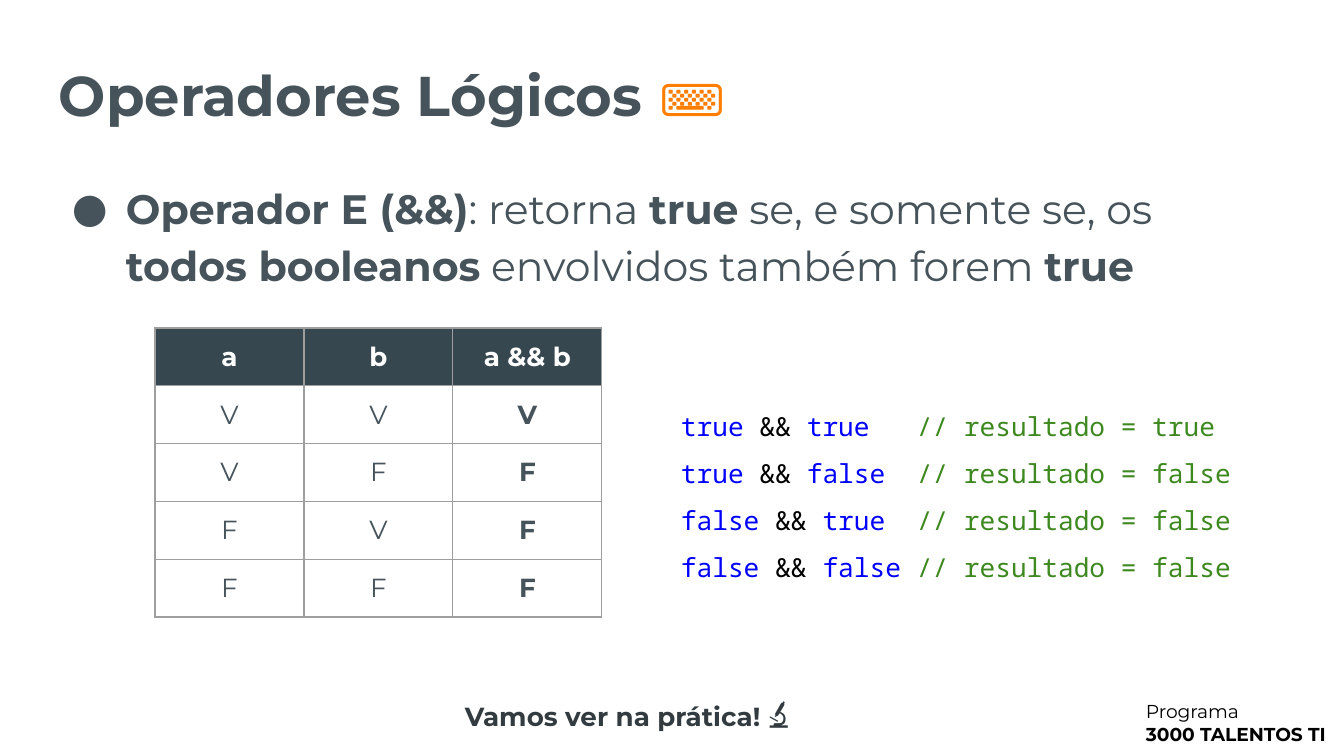
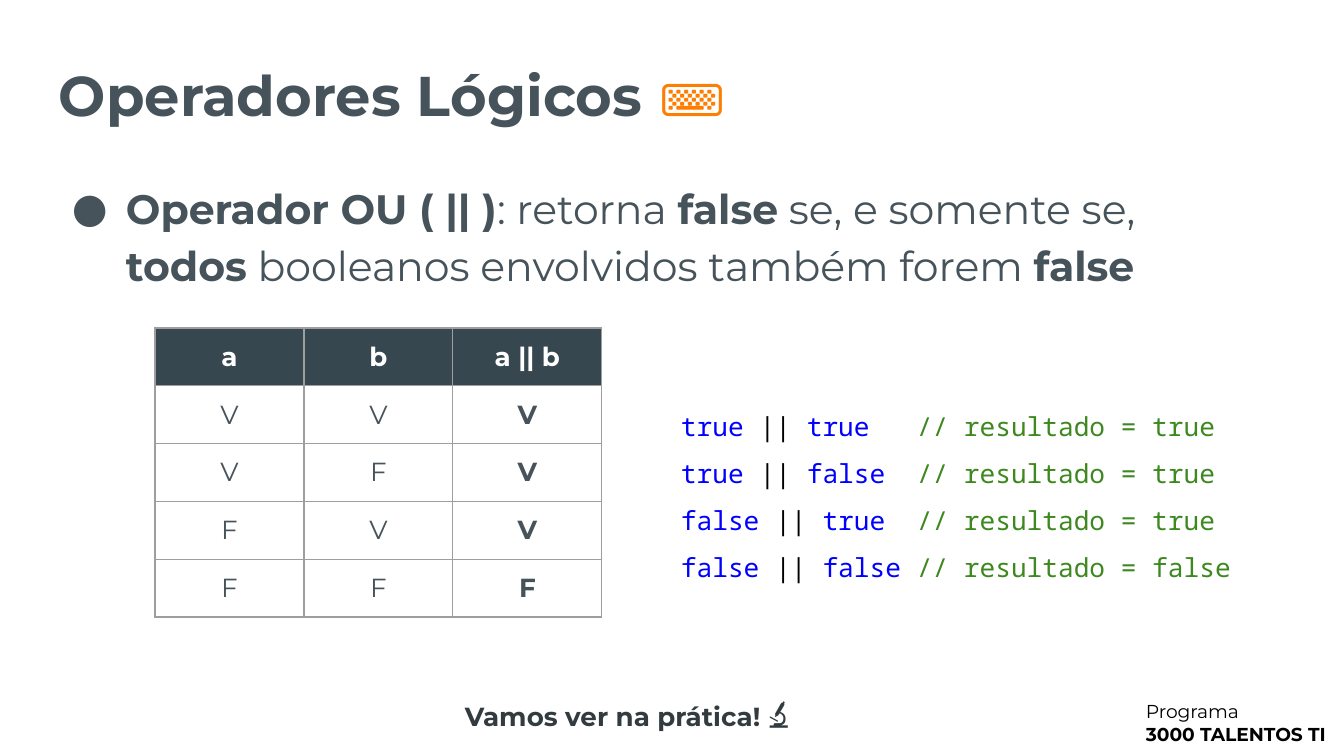
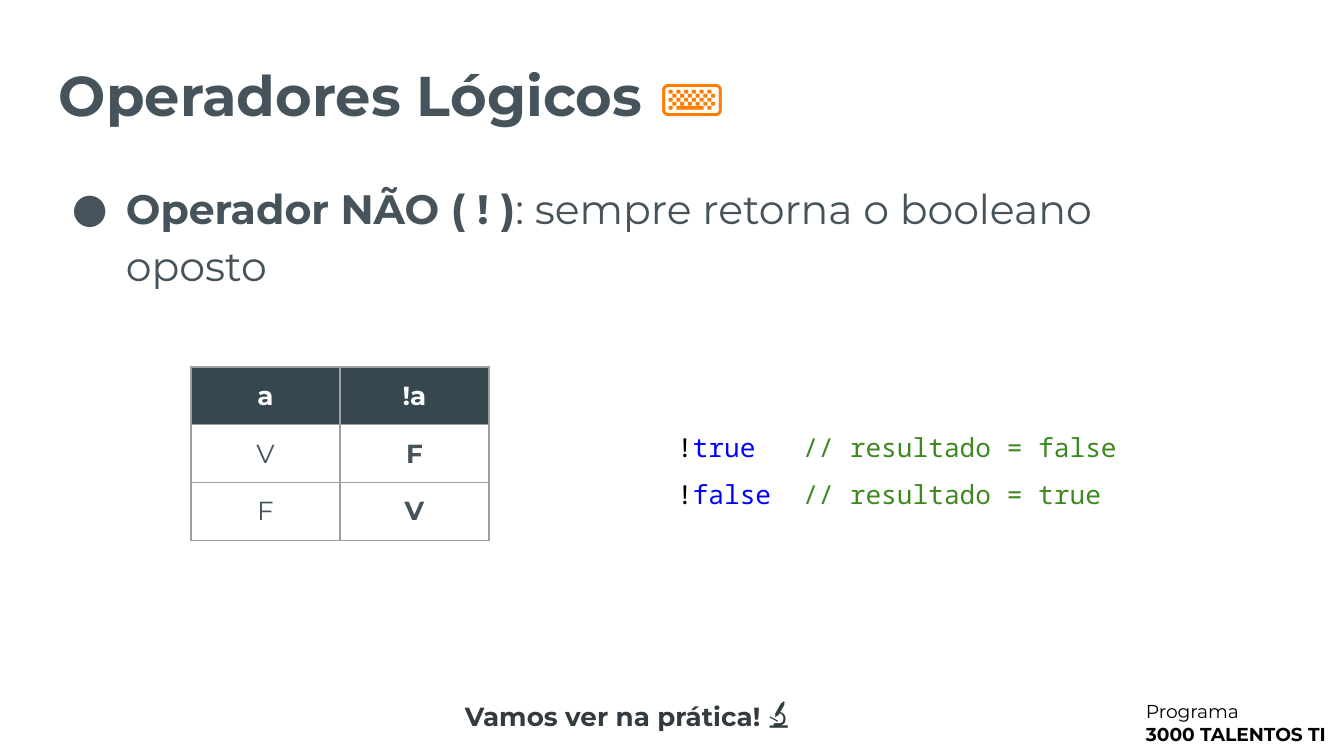
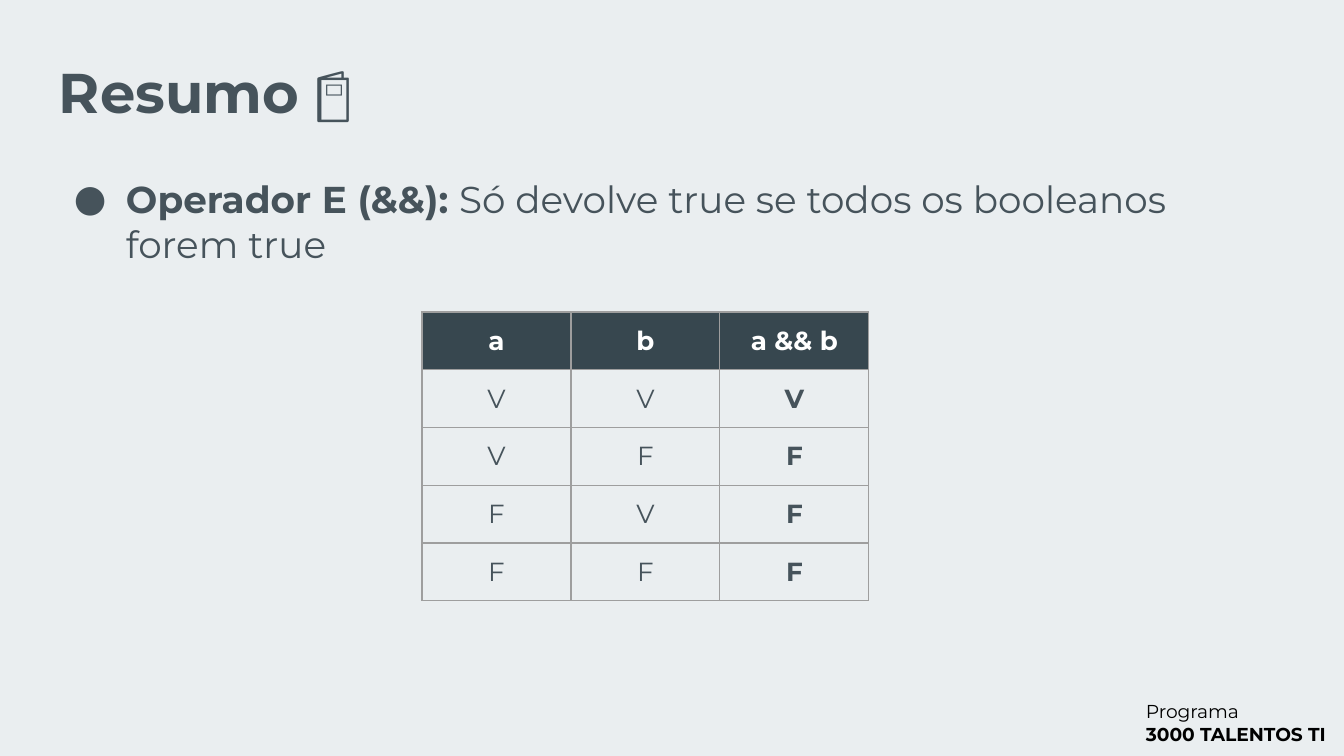
from lxml import etree
from pptx import Presentation
from pptx import util as u
from pptx.dml.color import RGBColor
from pptx.enum import text
from pptx.oxml.ns import qn

PX = 9144000 / 1344
SLATE, HEADER, GRID = "46535B", "37474F", "9E9E9E"
WHITE, BLACK, PALE = "FFFFFF", "000000", "EAEEF0"
KEYWORD, COMMENT, ORANGE, CHARCOAL = "0000FF", "3D881F", "FE7E02", "323B3F"
SANS, MONO = "Montserrat", "Noto Sans Mono"
INSET = 13
TITLE_BOX = (46, 19, 1152, 144)
BODY_BOX = (46, 163, 1152, 535)
FOOTER_BOX = (1133, 687, 234, 73)
CALL_BOX = (452, 679, 378, 65)
COL_W, ROW_H = 149, 56
LETTER = {True: "V", False: "F"}
WORD = {True: "true", False: "false"}
PAIRS = [(True, True), (True, False), (False, True), (False, False)]
KEYBOARD_TITLE = [("Operadores Lógicos ", {}),
                  ("⌨️", dict(size=34, name="Roboto", color=ORANGE, bold=False))]
AND_ROWS = [(a, b, a and b) for a, b in PAIRS]
OR_ROWS = [(a, b, a or b) for a, b in PAIRS]
NOT_ROWS = [(a, not a) for a in (True, False)]


def px(n):
    return u.Emu(round(n * PX))


def rgb(color):
    return RGBColor.from_string(color)


def add_run(p, words, size=14, color=SLATE, name=SANS, bold=False):
    r = p.add_run()
    r.text = words
    for key, value in dict(size=u.Pt(size), name=name, bold=bold).items():
        setattr(r.font, key, value)
    r.font.color.rgb = rgb(color)


def set_frame(tf, anchor=text.MSO_ANCHOR.TOP):
    margins = {f"margin_{side}": px(INSET) for side in ("left", "top", "right", "bottom")}
    for key, value in dict(margins, word_wrap=True, vertical_anchor=anchor,
                           auto_size=text.MSO_AUTO_SIZE.NONE).items():
        setattr(tf, key, value)
    return tf


def add_text(s, box, paragraphs, anchor=text.MSO_ANCHOR.TOP, spacing=1.0, **base):
    tf = set_frame(s.shapes.add_textbox(*map(px, box)).text_frame, anchor)
    for i, runs in enumerate(paragraphs):
        p = tf.add_paragraph() if i else tf.paragraphs[0]
        p.line_spacing = spacing
        for words, style in runs:
            add_run(p, words, **{**base, **style})
    return tf


def set_bullet(p, indent):
    pPr = p._p.get_or_add_pPr()
    pPr.set("marL", str(px(67)))
    pPr.set("indent", str(px(-indent)))
    clr = etree.SubElement(pPr, qn("a:buClr"))
    etree.SubElement(clr, qn("a:srgbClr"), val=SLATE)
    etree.SubElement(pPr, qn("a:buFont"), typeface=SANS)
    etree.SubElement(pPr, qn("a:buChar"), char="●")


def set_borders(cell):
    tcPr = cell._tc.get_or_add_tcPr()
    for i, side in enumerate("LRTB"):
        ln = etree.Element(qn(f"a:ln{side}"), w=str(u.Pt(0.75)))
        fill = etree.SubElement(ln, qn("a:solidFill"))
        etree.SubElement(fill, qn("a:srgbClr"), val=GRID)
        tcPr.insert(i, ln)


def add_title(s, runs):
    sp = s.shapes.title
    for key, value in zip(("left", "top", "width", "height"), TITLE_BOX):
        setattr(sp, key, px(value))
    tf = set_frame(sp.text_frame, text.MSO_ANCHOR.MIDDLE)
    p = tf.paragraphs[0]
    p.alignment, p.line_spacing = text.PP_ALIGN.LEFT, 1.0
    for words, style in runs:
        add_run(p, words, **{**dict(size=30, bold=True), **style})


def add_definition(s, parts, size, spacing, indent):
    runs = [(words, dict(bold=i % 2 == 0)) for i, words in enumerate(parts)]
    tf = add_text(s, BODY_BOX, [runs], spacing=spacing, size=size)
    set_bullet(tf.paragraphs[0], indent)


def add_truth_table(s, left, top, heads, rows):
    grid = [heads] + [[LETTER[v] for v in row] for row in rows]
    n_rows, n_cols = len(grid), len(heads)
    box = (left, top, n_cols * COL_W, n_rows * ROW_H)
    table = s.shapes.add_table(n_rows, n_cols, *map(px, box)).table
    table.first_row = table.horz_banding = False
    for i, row in enumerate(grid):
        for j, words in enumerate(row):
            cell = table.cell(i, j)
            for side in ("left", "top", "right", "bottom"):
                setattr(cell, f"margin_{side}", px(INSET))
            if i == 0:
                cell.fill.solid()
                cell.fill.fore_color.rgb = rgb(HEADER)
            else:
                cell.fill.background()
            set_borders(cell)
            p = cell.text_frame.paragraphs[0]
            p.alignment = text.PP_ALIGN.CENTER
            add_run(p, words, color=SLATE if i else WHITE,
                    bold=i == 0 or j == n_cols - 1)


def add_code(s, box, operator, rows):
    lines = []
    for *values, result in rows:
        words = [WORD[v] for v in values]
        tokens = [words[0], f" {operator} ", words[1]] if len(words) == 2 else [operator, words[0]]
        width = 15 if len(words) == 2 else 8
        tokens[-1] = tokens[-1].ljust(width - len("".join(tokens[:-1])))
        runs = [(t, dict(color=KEYWORD if t.strip() in WORD.values() else BLACK))
                for t in tokens]
        lines.append(runs + [(f"// resultado = {WORD[result]}", dict(color=COMMENT))])
    add_text(s, box, lines, spacing=1.5, name=MONO)


def add_call(s):
    add_text(s, CALL_BOX, [[("Vamos ver na prática! ", {}), ("🔬", dict(size=20))]],
             anchor=text.MSO_ANCHOR.MIDDLE, color=CHARCOAL, bold=True)


def new_slide(prs, background, title):
    s = prs.slides.add_slide(prs.slide_layouts[5])
    s.background.fill.solid()
    s.background.fill.fore_color.rgb = rgb(background)
    add_text(s, FOOTER_BOX, [[("Programa", {})], [("3000 TALENTOS TI", dict(bold=True))]],
             size=10, color=BLACK)
    add_title(s, title)
    return s


def operator_slide(prs, operator, definition, heads, rows, table_at, code_box):
    s = new_slide(prs, WHITE, KEYBOARD_TITLE)
    add_definition(s, definition, size=22, spacing=1.15, indent=54)
    add_call(s)
    add_truth_table(s, *table_at, heads, rows)
    add_code(s, code_box, operator, rows)


def summary_slide(prs):
    s = new_slide(prs, PALE, [("Resumo 📓", {})])
    add_definition(s, ["Operador E (&&): ", "Só devolve true se todos os booleanos forem true"],
                   size=20, spacing=1.0, indent=52)
    add_truth_table(s, 422, 312, ["a", "b", "a && b"], AND_ROWS)


def main():
    prs = Presentation()
    prs.slide_width, prs.slide_height = px(1344), px(756)
    pair_places = dict(table_at=(155, 328), code_box=(668, 382, 606, 202))
    operator_slide(prs, "&&",
                   ["Operador E (&&)", ": retorna ", "true", " se, e somente se, os ",
                    "todos booleanos", " envolvidos também forem ", "true"],
                   ["a", "b", "a && b"], AND_ROWS, **pair_places)
    operator_slide(prs, "||",
                   ["Operador OU ( || )", ": retorna ", "false", " se, e somente se, ",
                    "todos", " booleanos envolvidos também forem ", "false"],
                   ["a", "b", "a || b"], OR_ROWS, **pair_places)
    operator_slide(prs, "!",
                   ["Operador NÃO ( ! )", ": sempre retorna o booleano oposto"],
                   ["a", "!a"], NOT_ROWS, table_at=(191, 367), code_box=(664, 403, 482, 106))
    summary_slide(prs)
    prs.save("out.pptx")


if __name__ == "__main__":
    main()
